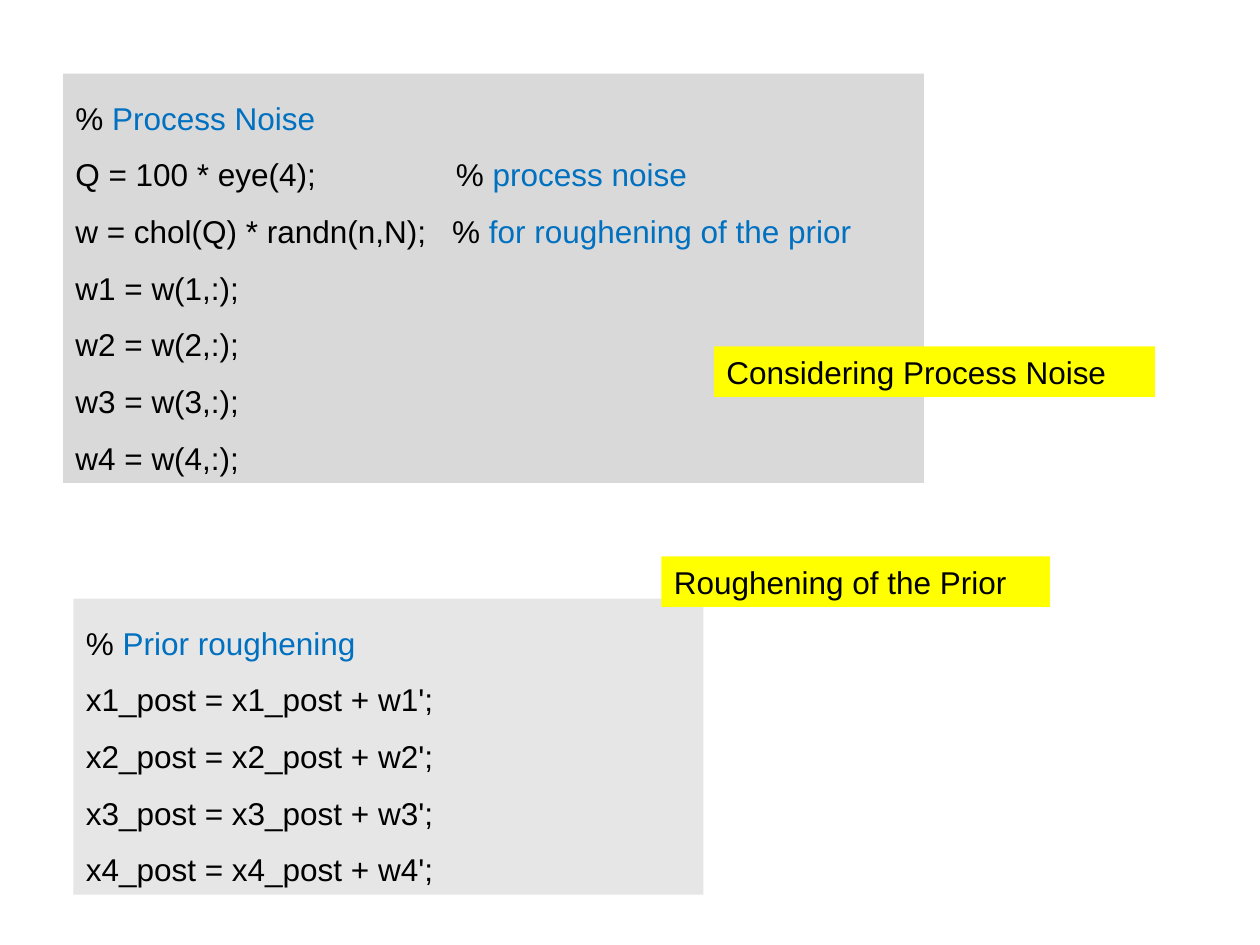
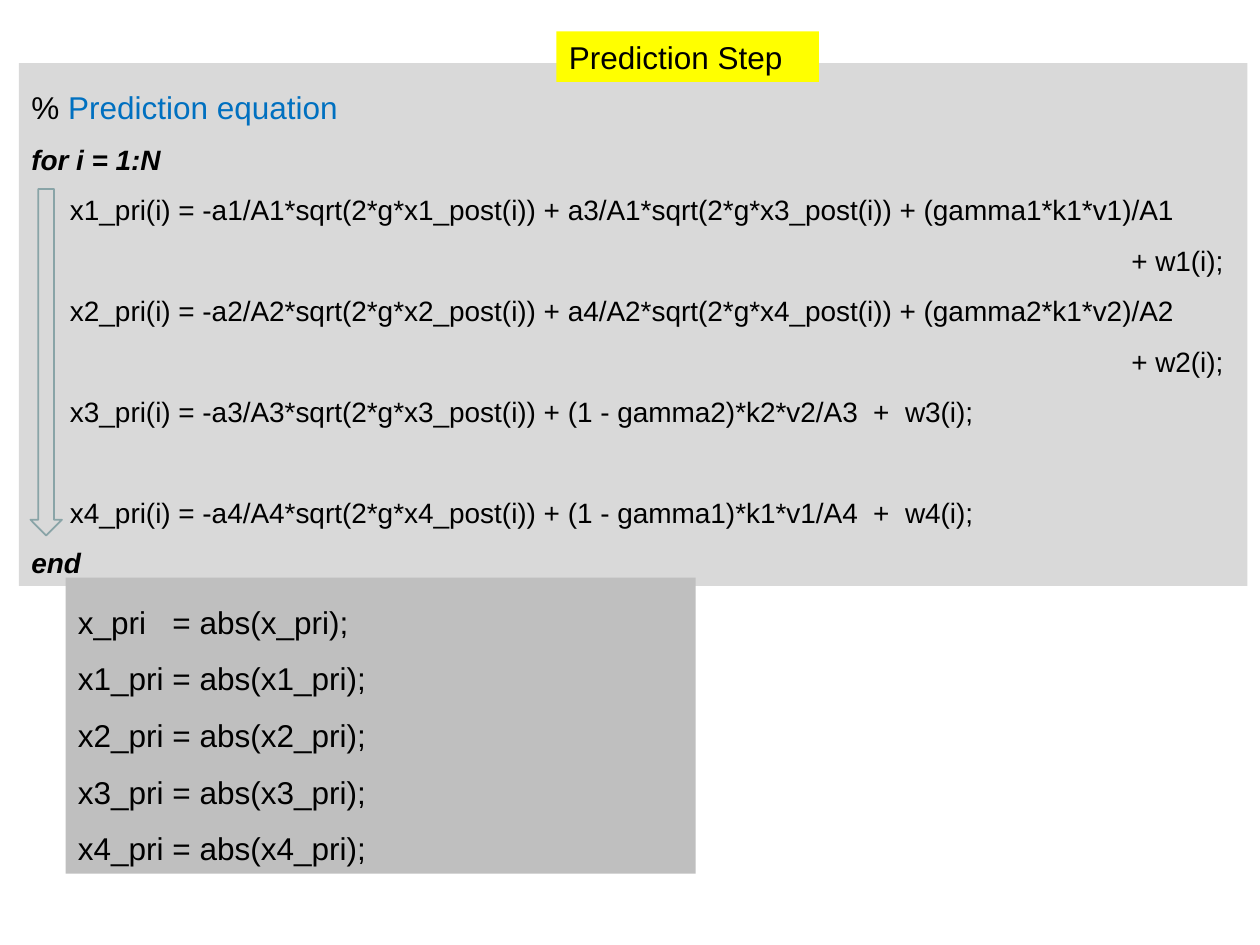
from dataclasses import dataclass

from lxml.etree import SubElement
from pptx import Presentation
from pptx.dml.color import RGBColor
from pptx.enum.shapes import MSO_SHAPE as Shape
from pptx.enum.text import MSO_ANCHOR as Anchor, PP_ALIGN as Align
from pptx.oxml.ns import qn
from pptx.util import Inches, Pt

COLORS = {
    "text": "000000",
    "comment": "0070C0",
    "panel": "D9D9D9",
    "light_panel": "E6E6E6",
    "dark_panel": "BFBFBF",
    "label": "FFFF00",
    "arrow_line": "89A4A7",
}
FONT = "Arial"
CELL = Inches(10) // 120
LABEL_ROWS = 4.8
LINE_SPACING = 1.5


@dataclass(frozen=True)
class Area:
    column: float
    row: float
    columns: float
    rows: float


@dataclass(frozen=True)
class Line:
    code: str
    comment: str = ""
    size: int = 18
    strong: bool = False
    space_before: float = 0
    tab: float = 0


@dataclass(frozen=True)
class Panel:
    area: Area
    lines: list[Line]
    fill: str = "panel"
    spacing: float = LINE_SPACING


def color(name: str) -> RGBColor:
    return RGBColor.from_string(COLORS[name])


def add_filled_shape(slide, kind: Shape, area: Area, fill: str):
    cells = (area.column, area.row, area.columns, area.rows)
    shape = slide.shapes.add_shape(kind, *(round(cell * CELL) for cell in cells))
    shape.shadow.inherit = False
    shape.fill.solid()
    shape.fill.fore_color.rgb = color(fill)
    shape.line.fill.background()
    return shape


def add_run(paragraph, text: str, line: Line, color_name: str) -> None:
    run = paragraph.add_run()
    run.text = text
    run.font.name = FONT
    run.font.size = Pt(line.size)
    run.font.bold = run.font.italic = line.strong
    run.font.color.rgb = color(color_name)


def write_line(paragraph, line: Line, spacing: float) -> None:
    if line.tab:
        properties = paragraph._p.get_or_add_pPr()
        tab_list = SubElement(properties, qn("a:tabLst"))
        SubElement(tab_list, qn("a:tab"), pos=str(Inches(line.tab)), algn="l")
    paragraph.alignment = Align.LEFT
    paragraph.line_spacing = spacing
    if line.space_before:
        paragraph.space_before = Pt(line.space_before)
    add_run(paragraph, line.code, line, "text")
    if line.comment:
        add_run(paragraph, line.comment, line, "comment")


def add_panel(slide, panel: Panel) -> None:
    shape = add_filled_shape(slide, Shape.RECTANGLE, panel.area, panel.fill)
    frame = shape.text_frame
    frame.word_wrap = True
    frame.vertical_anchor = Anchor.TOP
    for index, line in enumerate(panel.lines):
        paragraph = frame.add_paragraph() if index else frame.paragraphs[0]
        write_line(paragraph, line, panel.spacing)


def add_label(slide, column: float, row: float, columns: float, text: str) -> None:
    area = Area(column, row, columns, LABEL_ROWS)
    add_panel(slide, Panel(area, [Line(text)], "label", 1.0))


def add_loop_arrow(slide, area: Area) -> None:
    arrow = add_filled_shape(slide, Shape.DOWN_ARROW, area, "panel")
    arrow.line.color.rgb = color("arrow_line")
    arrow.line.width = Pt(1)


def build_noise_slide(slide) -> None:
    noise_lines = [
        Line("% ", "Process Noise"),
        Line("Q = 100 * eye(4);\t% ", "process noise", tab=3.02),
        Line("w = chol(Q) * randn(n,N);\t% ", "for roughening of the prior", tab=2.99),
        *(Line(f"w{state} = w({state},:);") for state in range(1, 5)),
    ]
    roughening_lines = [
        Line("% ", "Prior roughening"),
        *(Line(f"x{state}_post = x{state}_post + w{state}';") for state in range(1, 5)),
    ]
    add_panel(slide, Panel(Area(6, 7, 82, 39), noise_lines))
    add_panel(slide, Panel(Area(7, 57, 60, 28.2), roughening_lines, "light_panel"))
    add_label(slide, 68, 33, 42, "Considering Process Noise")
    add_label(slide, 63, 53, 37, "Roughening of the Prior")


def upper_tank_lines(tank: int, source: int) -> list[Line]:
    equation = (
        f"     x{tank}_pri(i) = -a{tank}/A{tank}*sqrt(2*g*x{tank}_post(i))"
        f" + a{source}/A{tank}*sqrt(2*g*x{source}_post(i))"
        f" + (gamma{tank}*k1*v{tank})/A{tank}"
    )
    return [Line(equation, size=16), Line(f"\t+ w{tank}(i);", size=16, tab=8.73)]


def lower_tank_line(tank: int, pump: int, space_before: float = 0) -> Line:
    equation = (
        f"     x{tank}_pri(i) = -a{tank}/A{tank}*sqrt(2*g*x{tank}_post(i))"
        f" + (1 - gamma{pump})*k{pump}*v{pump}/A{tank}  +  w{tank}(i);"
    )
    return Line(equation, size=16, space_before=space_before)


def build_prediction_slide(slide) -> None:
    prediction_lines = [
        Line("% ", "Prediction equation"),
        Line("for i = 1:N", size=16, strong=True),
        *upper_tank_lines(1, 3),
        *upper_tank_lines(2, 4),
        lower_tank_line(3, 2),
        lower_tank_line(4, 1, space_before=28.8),
        Line("end", size=16, strong=True),
    ]
    absolute_lines = [
        Line("x_pri\t= abs(x_pri);", tab=0.75),
        *(Line(f"x{state}_pri = abs(x{state}_pri);") for state in range(1, 5)),
    ]
    add_panel(slide, Panel(Area(1.8, 6, 117, 49.8), prediction_lines))
    add_loop_arrow(slide, Area(2.9, 18, 3, 33))
    add_panel(slide, Panel(Area(6.25, 55, 60, 28.2), absolute_lines, "dark_panel"))
    add_label(slide, 53, 3, 25, "Prediction Step")


def main() -> None:
    presentation = Presentation()
    presentation.slide_width = Inches(10)
    presentation.slide_height = Inches(7.5)
    blank = presentation.slide_layouts[6]
    for build in (build_noise_slide, build_prediction_slide):
        build(presentation.slides.add_slide(blank))
    presentation.save("out.pptx")


if __name__ == "__main__":
    main()
